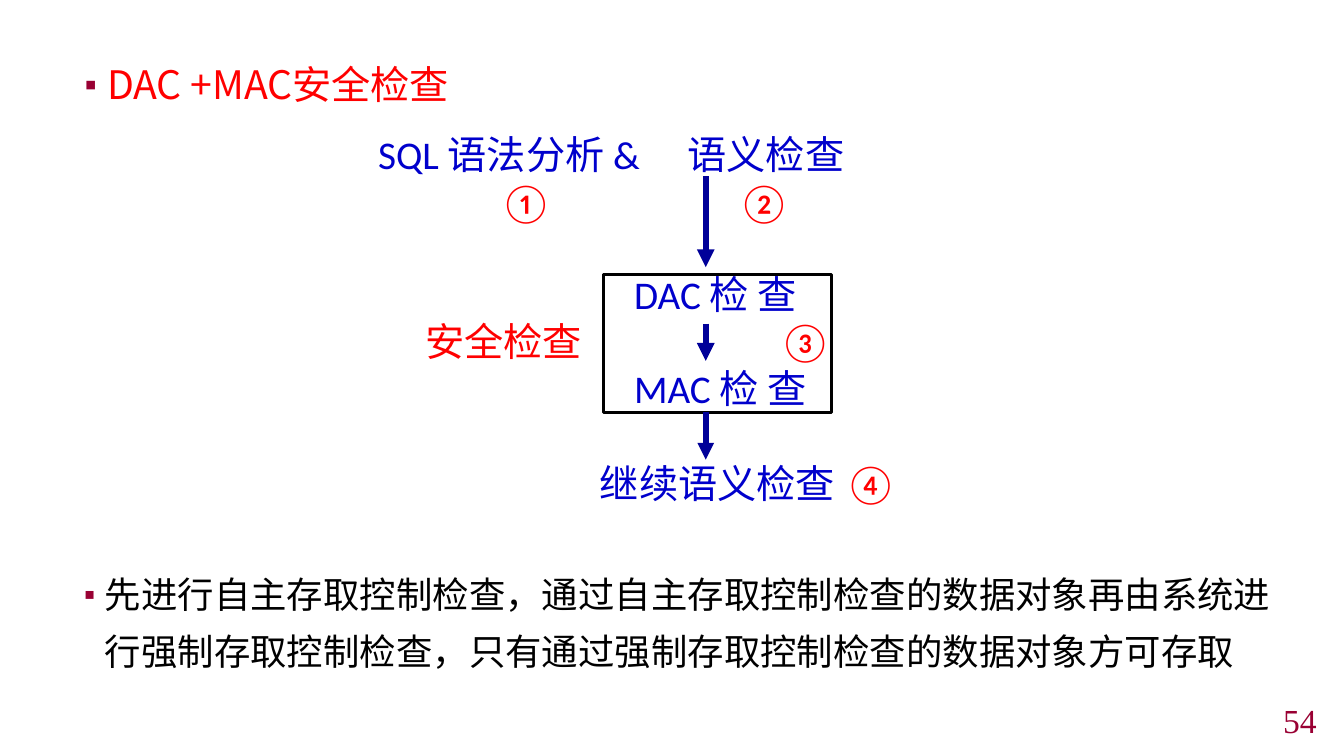
"""Build the slide on combined DAC and MAC security checks."""
from typing import NamedTuple

import pptx
import pptx.dml.color
import pptx.enum.dml
import pptx.enum.shapes
import pptx.enum.text
import pptx.oxml
import pptx.oxml.ns
import pptx.util

Inches = pptx.util.Inches
Pt = pptx.util.Pt
Align = pptx.enum.text.PP_ALIGN
Anchor = pptx.enum.text.MSO_ANCHOR

COLORS = {
    "red": "FF0000",
    "blue": "0000CC",
    "navy": "000099",
    "maroon": "990033",
    "black": "000000",
}
CJK_FONT = "Noto Sans CJK SC"
LABEL_HEIGHT = 0.6
ARROW_X = 7.0
BULLET_INDENT = 0.29


class Label(NamedTuple):
    """A diagram label placed by its left edge and vertical centre."""
    text: str
    left: float
    middle: float
    width: float
    color: str
    font: str = "Calibri"


class Arrow(NamedTuple):
    """A downward arrow of the flow."""
    top: float
    bottom: float
    weight: float


LABELS = [
    Label("SQL 语法分析 &", 3.75, 1.53, 3.0, "blue"),
    Label("语义检查", 6.82, 1.53, 1.6, "blue"),
    Label("①", 4.96, 2.0, 0.4, "red"),
    Label("②", 7.32, 2.0, 0.4, "red"),
    Label("DAC 检 查", 6.29, 2.92, 1.8, "blue"),
    Label("安全检查", 4.22, 3.38, 1.6, "red", CJK_FONT),
    Label("③", 7.73, 3.38, 0.4, "red"),
    Label("MAC 检 查", 6.29, 3.85, 1.9, "blue"),
    Label("继续语义检查", 5.95, 4.79, 2.4, "blue"),
    Label("④", 8.38, 4.79, 0.4, "red"),
]
ARROWS = [Arrow(1.75, 2.65, 4.25), Arrow(3.21, 3.58, 4.25), Arrow(4.09, 4.56, 4)]


def rgb(color: str) -> pptx.dml.color.RGBColor:
    """Return the named colour."""
    return pptx.dml.color.RGBColor.from_string(COLORS[color])


def add_xml(parent, tag: str, **attributes: str):
    """Append a DrawingML element and return it."""
    element = pptx.oxml.parse_xml(f"<a:{tag} {pptx.oxml.ns.nsdecls('a')}/>")
    for key, value in attributes.items():
        element.set(key, value)
    parent.append(element)
    return element


def write(shape, text: str, *, size: float, color: str, font: str = CJK_FONT,
          align=Align.LEFT, anchor=Anchor.MIDDLE, wrap: bool = False):
    """Fill a shape with one formatted paragraph and return the paragraph."""
    frame = shape.text_frame
    frame.margin_left = frame.margin_right = 0
    frame.margin_top = frame.margin_bottom = 0
    frame.auto_size = pptx.enum.text.MSO_AUTO_SIZE.NONE
    frame.word_wrap = wrap
    frame.vertical_anchor = anchor
    paragraph = frame.paragraphs[0]
    paragraph.alignment = align
    run = paragraph.add_run()
    run.text = text
    run.font.size = Pt(size)
    run.font.name = font
    run.font.color.rgb = rgb(color)
    add_xml(run.font._element, "ea", typeface=CJK_FONT)
    return paragraph


def add_bullet(paragraph) -> None:
    """Give a paragraph the square maroon bullet and hanging indent."""
    properties = paragraph._p.get_or_add_pPr()
    indent = Inches(BULLET_INDENT)
    properties.set("marL", str(indent))
    properties.set("indent", str(-indent))
    add_xml(add_xml(properties, "buClr"), "srgbClr", val=COLORS["maroon"])
    add_xml(properties, "buSzPct", val="80000")
    add_xml(properties, "buFont", typeface=CJK_FONT)
    add_xml(properties, "buChar", char="▪")


def add_label(slide, label: Label) -> None:
    """Draw one diagram label."""
    box = slide.shapes.add_textbox(
        Inches(label.left), Inches(label.middle - LABEL_HEIGHT / 2),
        Inches(label.width), Inches(LABEL_HEIGHT))
    write(box, label.text, size=28, color=label.color, font=label.font)


def add_arrow(slide, arrow: Arrow) -> None:
    """Draw one flow arrow."""
    connector = slide.shapes.add_connector(
        pptx.enum.shapes.MSO_CONNECTOR.STRAIGHT,
        Inches(ARROW_X), Inches(arrow.top), Inches(ARROW_X), Inches(arrow.bottom))
    connector.line.color.rgb = rgb("navy")
    connector.line.width = Pt(arrow.weight)
    add_xml(connector.line._get_or_add_ln(), "tailEnd", type="triangle")
    add_xml(connector._element.spPr, "effectLst")


def add_check_frame(slide) -> None:
    """Draw the frame around the security checks."""
    frame = slide.shapes.add_shape(
        pptx.enum.shapes.MSO_SHAPE.RECTANGLE,
        Inches(5.99), Inches(2.72), Inches(2.26), Inches(1.37))
    frame.shadow.inherit = False
    frame.fill.background()
    frame.line.color.rgb = rgb("black")
    frame.line.width = Pt(2.25)


def main() -> None:
    """Build and save the presentation."""
    deck = pptx.Presentation()
    deck.slide_width, deck.slide_height = Inches(13.33), Inches(7.5)
    slide = deck.slides.add_slide(deck.slide_layouts[5])

    heading = slide.shapes.title
    heading.left, heading.top = Inches(0.75), Inches(0.48)
    heading.width, heading.height = Inches(12.07), Inches(0.7)
    add_bullet(write(heading, "DAC +MAC安全检查", size=28, color="red", wrap=True))

    add_check_frame(slide)
    for label in LABELS:
        add_label(slide, label)
    for arrow in ARROWS:
        add_arrow(slide, arrow)

    explanation = slide.shapes.add_textbox(
        Inches(0.75), Inches(5.54), Inches(12.07), Inches(1.2))
    paragraph = write(
        explanation,
        "先进行自主存取控制检查，通过自主存取控制检查的数据对象再由系统进行"
        "强制存取控制检查，只有通过强制存取控制检查的数据对象方可存取",
        size=26, color="black", anchor=Anchor.TOP, wrap=True)
    paragraph.line_spacing = Pt(40.7)
    add_bullet(paragraph)

    page_number = slide.shapes.add_textbox(
        Inches(10.33), Inches(6.99), Inches(2.73), Inches(0.31))
    write(page_number, "54", size=24, color="maroon", font="Times New Roman",
          align=Align.RIGHT, wrap=True)

    deck.save("out.pptx")


if __name__ == "__main__":
    main()
